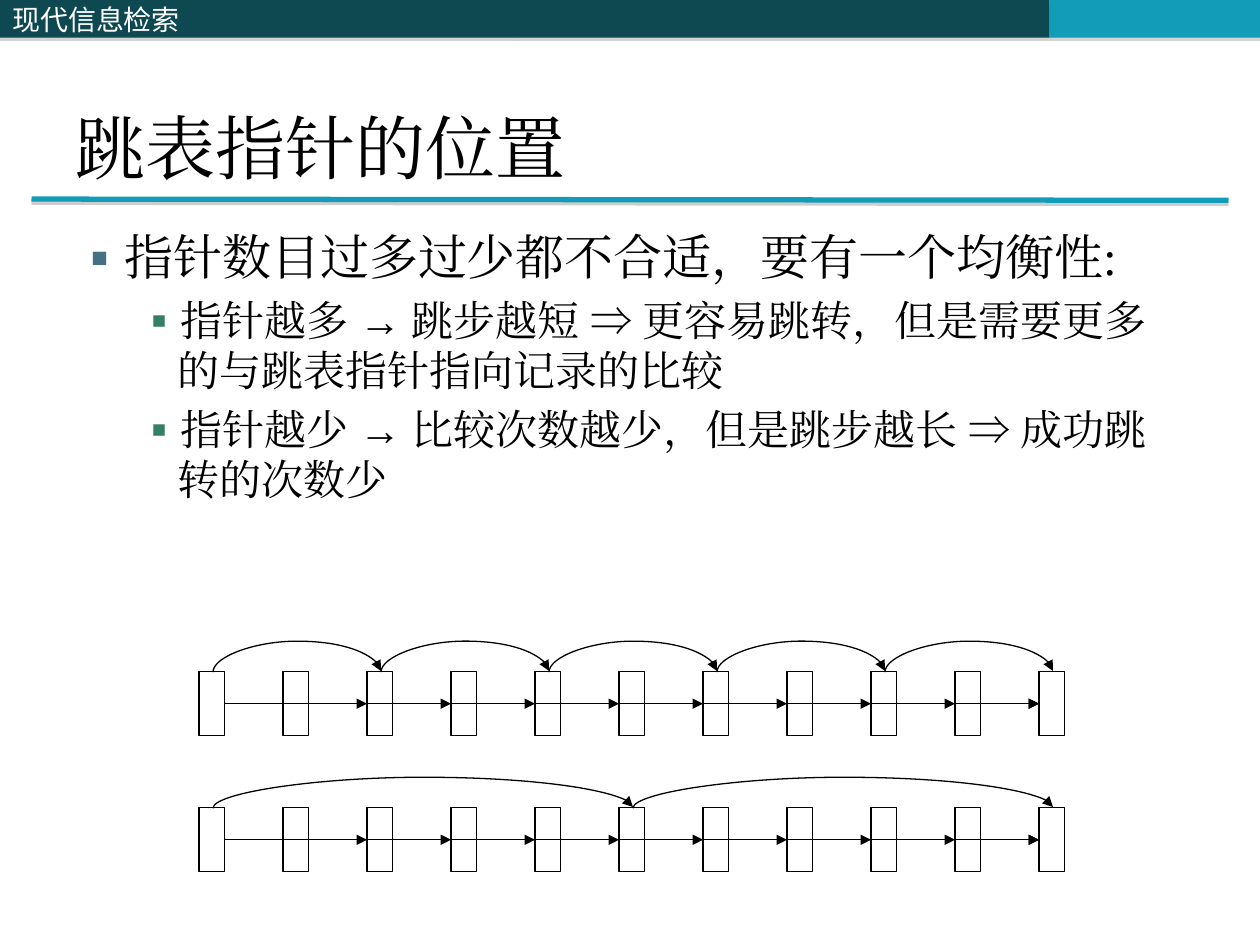
from lxml import etree
from pptx import Presentation
from pptx.dml.color import RGBColor
from pptx.enum.shapes import MSO_CONNECTOR, MSO_SHAPE
from pptx.enum.text import MSO_ANCHOR, MSO_AUTO_SIZE, PP_ALIGN
from pptx.oxml.ns import qn
from pptx.util import Inches, Pt

RECTANGLE = MSO_SHAPE.RECTANGLE
STRAIGHT, CURVE = MSO_CONNECTOR.STRAIGHT, MSO_CONNECTOR.CURVE
TOP, MIDDLE, BOTTOM = MSO_ANCHOR.TOP, MSO_ANCHOR.MIDDLE, MSO_ANCHOR.BOTTOM
LEFT = PP_ALIGN.LEFT
NO_AUTOFIT = MSO_AUTO_SIZE.NONE

DARK, BRIGHT, BLACK, WHITE = "0E4851", "139CB7", "000000", "FFFFFF"
SERIF, SANS = "Times New Roman", "Noto Sans CJK SC"
NODE_COUNT = 11
NODE_LEFT, NODE_WIDTH, NODE_HEIGHT = 1.58, 0.2, 0.51
NODE_STEP = 2 / 3
ARC_RISE, ARC_DEPTH = 0.25, 0.01
LEVELS = [(28, 0.38, 0.38, "437085"), (24, 0.81, 0.31, "357E69")]
BODY = [
    (0, "指针数目过多过少都不合适，要有一个均衡性:"),
    (1, "指针越多 → 跳步越短 ⇒ 更容易跳转，但是需要更多的与跳表指针指向记录的比较"),
    (1, "指针越少 → 比较次数越少，但是跳步越长 ⇒ 成功跳转的次数少"),
]


def color(value):
    return RGBColor.from_string(value)


def add_xml(parent, tag, **attributes):
    return etree.SubElement(parent, qn(tag), attributes)


def set_effects(shape, shadow_alpha=0):
    effects = add_xml(shape._element.spPr, "a:effectLst")
    if shadow_alpha:
        shadow = add_xml(effects, "a:outerShdw", dist=str(Pt(1.8)), dir="5400000",
                         algn="ctr", rotWithShape="0")
        tint = add_xml(shadow, "a:srgbClr", val="808080")
        add_xml(tint, "a:alpha", val=str(shadow_alpha * 1000))


def write(para, text, size, font=SERIF, fill=BLACK):
    para.alignment = LEFT
    span = para.add_run()
    span.text = text
    span.font.size = Pt(size)
    span.font.name = font
    span.font.color.rgb = color(fill)
    add_xml(span.font._element, "a:ea", typeface=font)


def set_bullet(para, indent, hanging, fill):
    properties = para._p.get_or_add_pPr()
    properties.set("marL", str(Inches(indent)))
    properties.set("indent", str(-Inches(hanging)))
    bullet_color = add_xml(properties, "a:buClr")
    add_xml(bullet_color, "a:srgbClr", val=fill)
    add_xml(properties, "a:buFont", typeface=SANS)
    add_xml(properties, "a:buChar", char="▪")


def add_bar(page, left, width, fill):
    bar = page.shapes.add_shape(RECTANGLE, Inches(left), 0, Inches(width), Inches(0.3))
    bar.fill.solid()
    bar.fill.fore_color.rgb = color(fill)
    bar.line.fill.background()
    set_effects(bar, shadow_alpha=35)
    return bar


def add_line(page, kind, start, end, fill=BLACK, width=0.75, arrow=True, shadow_alpha=0):
    line = page.shapes.add_connector(kind, *(Inches(value) for value in start + end))
    line.line.color.rgb = color(fill)
    line.line.width = Pt(width)
    if arrow:
        add_xml(line.line._get_or_add_ln(), "a:tailEnd", type="triangle")
    set_effects(line, shadow_alpha)
    return line


def add_node(page, left, top):
    node = page.shapes.add_shape(RECTANGLE, Inches(left), Inches(top),
                                 Inches(NODE_WIDTH), Inches(NODE_HEIGHT))
    node.fill.background()
    node.line.color.rgb = color(BLACK)
    node.line.width = Pt(0.75)
    node.shadow.inherit = False
    return node


def add_link(page, source, target):
    link = add_line(page, STRAIGHT, (0, 0), (0, 0))
    link.begin_connect(source, 3)
    link.end_connect(target, 1)


def add_arc(page, left, right, top):
    center, half = (left + right) / 2, (right - left) / 2
    arc = add_line(page, CURVE, (center + ARC_DEPTH / 2, top + half),
                   (center - ARC_DEPTH / 2, top - half))
    properties = arc._element.spPr
    properties.find(qn("a:xfrm")).set("rot", "5400000")
    guides = properties.find(qn("a:prstGeom")).get_or_add_avLst()
    bend = round(ARC_RISE / ARC_DEPTH * 100000)
    add_xml(guides, "a:gd", name="adj1", fmla=f"val {bend}")


def add_skip_list(page, top, skip):
    lefts = [NODE_LEFT + index * NODE_STEP for index in range(NODE_COUNT)]
    nodes = [add_node(page, left, top) for left in lefts]
    add_link(page, nodes[0], nodes[-1])
    for source, target in zip(nodes[1:], nodes[2:]):
        add_link(page, source, target)
    centers = [left + NODE_WIDTH / 2 + 0.01 for left in lefts[::skip]]
    for left, right in zip(centers, centers[1:]):
        add_arc(page, left, right, top)


def add_header(page):
    add_bar(page, 4.08, 4.25, DARK)
    add_bar(page, 8.33, 1.67, BRIGHT)
    add_line(page, STRAIGHT, (0.25, 1.58), (9.75, 1.59), fill=BRIGHT, width=3,
             arrow=False, shadow_alpha=38)
    frame = add_bar(page, 0, 4.08, DARK).text_frame
    frame.vertical_anchor = MIDDLE
    write(frame.paragraphs[0], "现代信息检索", 16, font=SANS, fill=WHITE)


def place_text(box, top, height, anchor):
    box.left, box.top = Inches(0.5), Inches(top)
    box.width, box.height = Inches(9), Inches(height)
    frame = box.text_frame
    frame.auto_size = NO_AUTOFIT
    frame.word_wrap = True
    frame.vertical_anchor = anchor
    return frame


def add_content(page):
    title = place_text(page.shapes.title, 0.3, 1.25, BOTTOM)
    write(title.paragraphs[0], "跳表指针的位置", 40)
    body = place_text(page.placeholders[1], 1.75, 5.42, TOP)
    for index, (level, text) in enumerate(BODY):
        para = body.add_paragraph() if index else body.paragraphs[0]
        size, indent, hanging, fill = LEVELS[level]
        para.level = level
        set_bullet(para, indent, hanging, fill)
        write(para, text, size)


def main():
    deck = Presentation()
    deck.slide_width, deck.slide_height = Inches(10), Inches(7.5)
    page = deck.slides.add_slide(deck.slide_layouts[1])
    add_header(page)
    add_content(page)
    add_skip_list(page, 5.33, skip=2)
    add_skip_list(page, 6.41, skip=5)
    deck.save("out.pptx")


if __name__ == "__main__":
    main()
